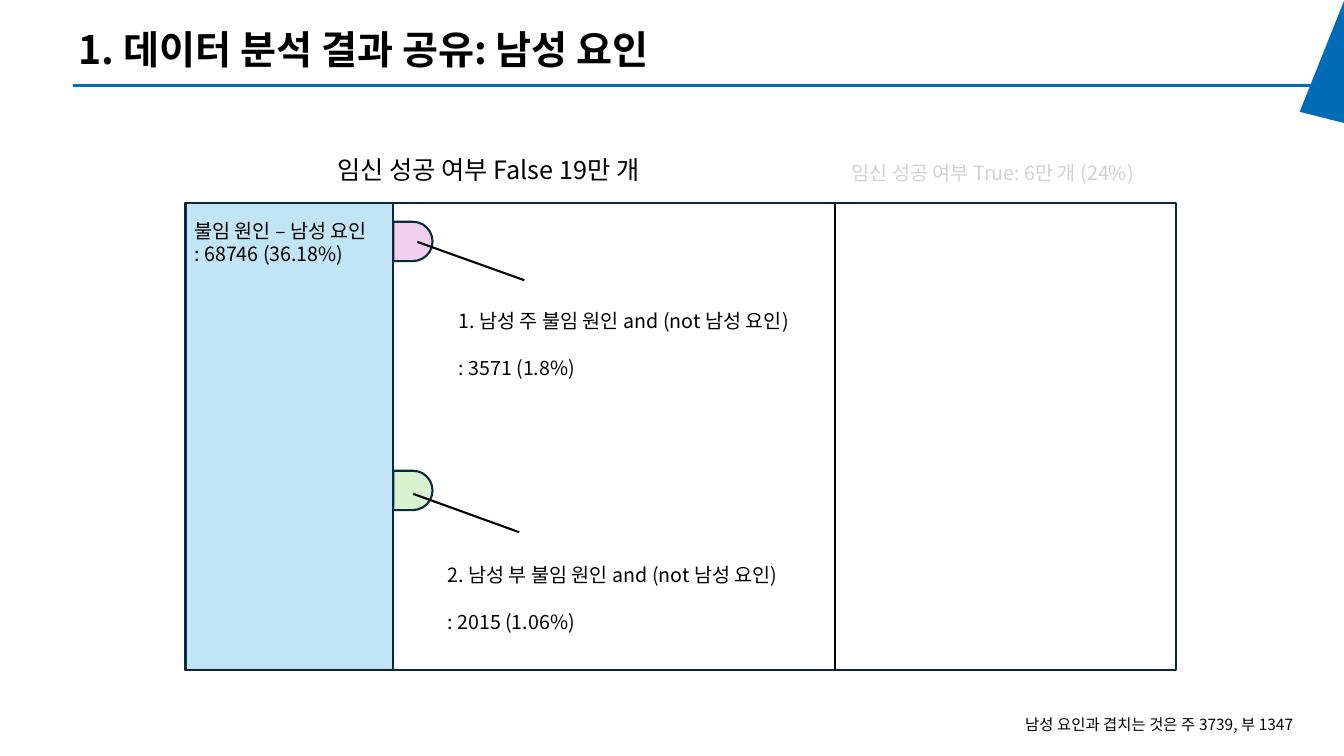
import pptx
import pptx.util
import pptx.dml.color
import pptx.enum.shapes
import pptx.enum.text
import pptx.oxml.ns
import lxml.etree

Inches, Pt = pptx.util.Inches, pptx.util.Pt
FONT = "Noto Sans CJK KR"
BLUE, NAVY, BLACK = "006CB7", "092A39", "000000"

presentation = pptx.Presentation()
presentation.slide_width, presentation.slide_height = Inches(13.33), Inches(7.5)
slide = presentation.slides.add_slide(presentation.slide_layouts[5])
shapes = slide.shapes


def color(hex_string):
    return pptx.dml.color.RGBColor.from_string(hex_string)


def write(shape, lines, size, hex_string, wrap, spacing=None):
    frame = shape.text_frame
    frame.text = lines
    frame.word_wrap = wrap
    for paragraph in frame.paragraphs:
        paragraph.font.size = Pt(size)
        paragraph.font.name = FONT
        paragraph.font.color.rgb = color(hex_string)
        if spacing:
            paragraph.line_spacing = spacing
            paragraph.space_before = Pt(10)
        # East Asian typeface for the Korean letters
        properties = paragraph.font._element
        east_asian = lxml.etree.SubElement(properties, pptx.oxml.ns.qn("a:ea"))
        east_asian.set("typeface", FONT)


# Title
title = shapes.title
title.left, title.top, title.width, title.height = map(Inches, (0.68, 0.24, 8.59, 0.54))
write(title, "1. 데이터 분석 결과 공유: 남성 요인", 28, BLACK, True, 0.9)
title.text_frame.vertical_anchor = pptx.enum.text.MSO_ANCHOR.MIDDLE
title.text_frame.paragraphs[0].alignment = pptx.enum.text.PP_ALIGN.LEFT
title.text_frame.paragraphs[0].font.bold = True

# Corner wedge
builder = shapes.build_freeform(Inches(13.33), Inches(0.01), scale=1.0)
builder.add_line_segments([(Inches(12.89), Inches(1.11)), (Inches(13.33), Inches(1.22))])
wedge = builder.convert_to_shape()
wedge.fill.solid()
wedge.fill.fore_color.rgb = color(BLUE)
wedge.line.fill.background()
wedge.shadow.inherit = False

# Frame columns and the two overlap tabs
LEFT, FACTOR, DIVIDER, RIGHT = 1.84, 3.9, 8.28, 11.66
TOP, HEIGHT, TAB = 2.01, 4.64, 0.39
RECTANGLE = pptx.enum.shapes.MSO_SHAPE.RECTANGLE
DELAY = pptx.enum.shapes.MSO_SHAPE.FLOWCHART_DELAY
for kind, left, top, width, height, fill in [
    (RECTANGLE, LEFT, TOP, FACTOR - LEFT, HEIGHT, "C1E5F5"),
    (DELAY, FACTOR, 2.2, TAB, TAB, "F2CFEE"),
    (DELAY, FACTOR, 4.67, TAB, TAB, "D9F2D0"),
    (RECTANGLE, DIVIDER, TOP, RIGHT - DIVIDER, HEIGHT, None),
    (RECTANGLE, LEFT, TOP, DIVIDER - LEFT, HEIGHT, None),
]:
    shape = shapes.add_shape(kind, *map(Inches, (left, top, width, height)))
    shape.shadow.inherit = False
    shape.line.color.rgb = color(NAVY)
    shape.line.width = Pt(1.5)
    if fill:
        shape.fill.solid()
        shape.fill.fore_color.rgb = color(fill)
    else:
        shape.fill.background()

# Title rule, divider and pointers
for x1, y1, x2, y2, line_color, weight in [
    (0.72, 0.85, 13.07, 0.85, BLUE, 2.25),
    (DIVIDER, TOP, DIVIDER, TOP + HEIGHT, BLACK, 1.5),
    (4.14, 2.4, 5.2, 2.78, BLACK, 1.5),
    (4.1, 4.9, 5.15, 5.28, BLACK, 1.5),
]:
    connector = shapes.add_connector(
        pptx.enum.shapes.MSO_CONNECTOR.STRAIGHT, *map(Inches, (x1, y1, x2, y2)))
    connector.line.color.rgb = color(line_color)
    connector.line.width = Pt(weight)
    lxml.etree.SubElement(connector._element.spPr, pptx.oxml.ns.qn("a:effectLst"))

# Labels: a line spacing of 2 marks the wrapped notes
for left, top, width, height, lines, size, text_color, spacing in [
    (3.25, 1.48, 3.46, 0.4, "임신 성공 여부 False 19만 개", 18, BLACK, None),
    (8.35, 1.55, 3.23, 0.34, "임신 성공 여부 True: 6만 개 (24%)", 14, "D1D1D1", None),
    (1.83, 2.12, 2.06, 0.57, "불임 원인 – 남성 요인\n: 68746 (36.18%)", 14, BLACK, None),
    (4.45, 2.78, 3.84, 1.34,
     "1. 남성 주 불임 원인 and (not 남성 요인)\v: 3571 (1.8%)", 14, BLACK, 2.0),
    (4.34, 5.3, 4.75, 1.34,
     "2. 남성 부 불임 원인 and (not 남성 요인)\v: 2015 (1.06%)", 14, BLACK, 2.0),
    (10.07, 6.86, 3.18, 0.6, "남성 요인과 겹치는 것은 주 3739, 부 1347", 11, BLACK, 2.0),
]:
    label = shapes.add_textbox(*map(Inches, (left, top, width, height)))
    write(label, lines, size, text_color, spacing is not None, spacing)

presentation.save("out.pptx")
